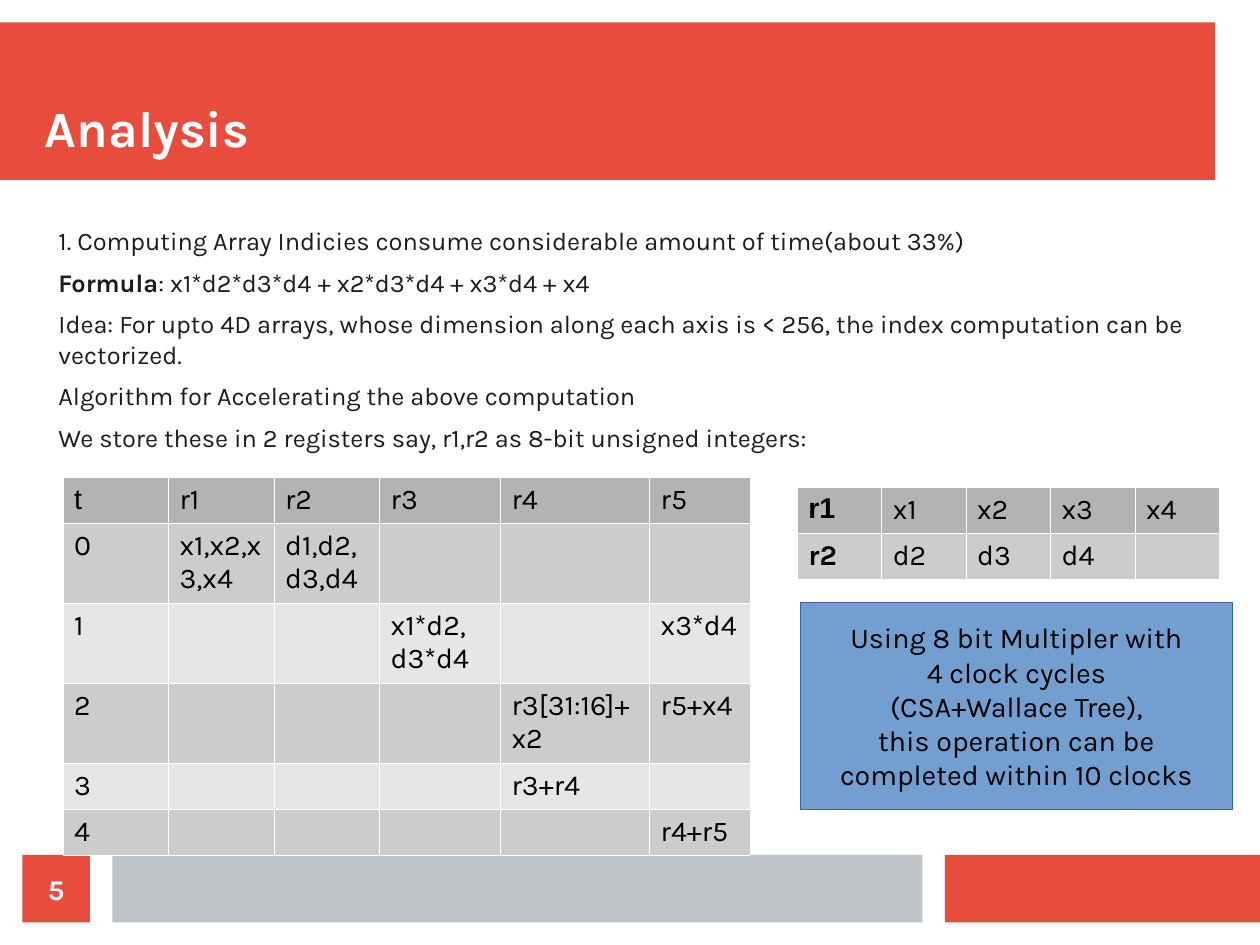
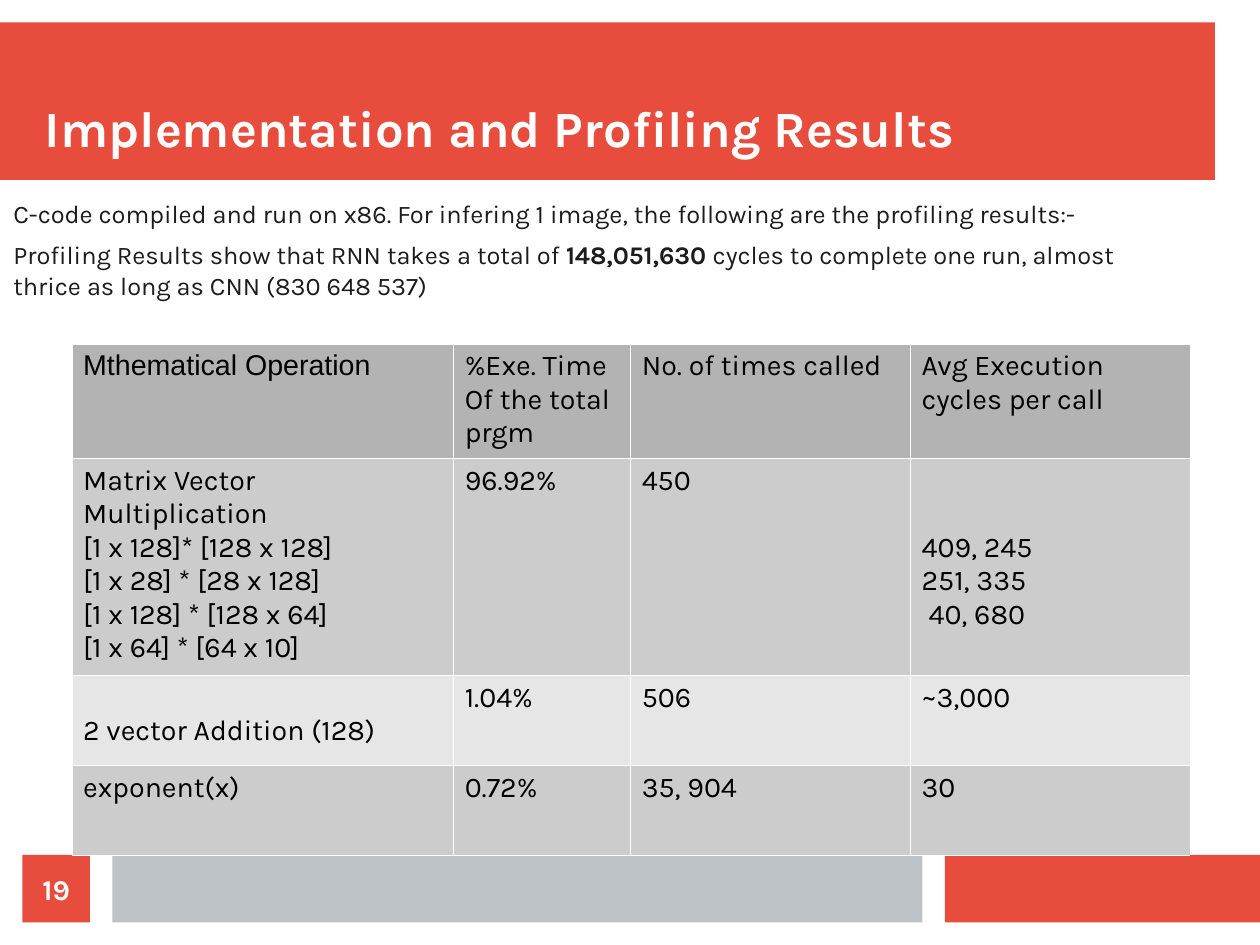
from lxml import etree
from pptx import Presentation
from pptx.dml.color import RGBColor
from pptx.enum import shapes, text
from pptx.oxml.ns import qn
from pptx.util import Pt

RED = RGBColor(0xE7, 0x4C, 0x3C)
GREY = RGBColor(0xBD, 0xC3, 0xC7)
WHITE = RGBColor(0xFF, 0xFF, 0xFF)
BLACK = RGBColor(0, 0, 0)
INK = RGBColor(0x1C, 0x1C, 0x1C)
BLUE = RGBColor(0x72, 0x9F, 0xCF)
NAVY = RGBColor(0x34, 0x65, 0xA4)
HEAD = RGBColor(0xB3, 0xB3, 0xB3)
DARK = RGBColor(0xCC, 0xCC, 0xCC)
LIGHT = RGBColor(0xE6, 0xE6, 0xE6)

TITLE = {"size": Pt(32), "name": "Karla", "color": WHITE}
BODY = {"size": Pt(16), "name": "Karla", "color": INK}
CELL = {"size": Pt(18), "name": "Karla", "color": BLACK}
BADGE = CELL | {"color": WHITE}
LINE = 21.1
LEFT, MID = text.PP_ALIGN.LEFT, text.PP_ALIGN.CENTER


def write(frame, words, style, align=LEFT, after=0):
    for num, line in enumerate(words.split("\n")):
        para = frame.add_paragraph() if num else frame.paragraphs[0]
        para.alignment = align
        para.space_after = Pt(after)
        for odd, part in enumerate(line.split("|")):
            if not part:
                continue
            run = para.add_run()
            run.text = part
            run.font.bold = odd % 2 == 1
            for key, val in style.items():
                if key == "color":
                    run.font.color.rgb = val
                else:
                    setattr(run.font, key, val)


def grid(slide, left, top, wides, highs, rows, drops={}):
    size = [Pt(n) for n in (left, top, sum(wides), sum(highs))]
    table = slide.shapes.add_table(len(highs), len(wides), *size).table
    table.first_row = table.horz_banding = False
    for col, wide in zip(table.columns, wides):
        col.width = Pt(wide)
    for r, high in enumerate(highs):
        table.rows[r].height = Pt(high)
        for c, words in enumerate(rows[r]):
            cell = table.cell(r, c)
            props = cell._tc.get_or_add_tcPr()
            for side in ("a:lnL", "a:lnR", "a:lnT", "a:lnB"):
                edge = etree.SubElement(props, qn(side), w="762")
                fill = etree.SubElement(edge, qn("a:solidFill"))
                etree.SubElement(fill, qn("a:srgbClr"), val=str(WHITE))
            cell.fill.solid()
            cell.fill.fore_color.rgb = HEAD if r == 0 else DARK if r % 2 else LIGHT
            cell.margin_top = Pt(3.6 + LINE * drops.get((r, c), 0))
            font = "Arial" if r == c == 0 else "Karla"
            write(cell.text_frame, words, CELL | {"name": font})
    return table


deck = Presentation()
deck.slide_width, deck.slide_height = Pt(793.7), Pt(595.3)

pages = [
    ("Analysis", "5", (36.85, 142, 723, 156),
     "1. Computing Array Indicies consume considerable amount of time(about 33%)\n"
     "|Formula|: x1*d2*d3*d4 + x2*d3*d4 + x3*d4 + x4\n"
     "Idea: For upto 4D arrays, whose dimension along each axis is < 256, "
     "the index computation can be vectorized.\n"
     "Algorithm for Accelerating the above computation\n"
     "We store these in 2 registers say, r1,r2 as 8-bit unsigned integers:"),
    ("Implementation and Profiling Results", "19", (8.5, 124.7, 723, 80),
     "C-code compiled and run on x86. For infering 1 image, "
     "the following are the profiling results:-\n"
     "Profiling Results show that RNN takes a total of |148,051,630 |"
     "cycles to complete one run, almost thrice as long as CNN (830 648 537)"),
]
note = ("Using 8 bit Multipler with\n4 clock cycles\n(CSA+Wallace Tree),\n"
        "this operation can be\ncompleted within 10 clocks")

slides = []
for title, num, place, body in pages:
    slide = deck.slides.add_slide(deck.slide_layouts[6])
    slides.append(slide)
    rects = [
        ((0, 14.17, 765.35, 99.21), RED, "", CELL),
        ((595.28, 538.58, 198.43, 42.52), RED, "", CELL),
        ((70.87, 538.58, 510.24, 42.52), GREY, "", CELL),
        ((14.17, 538.58, 42.52, 42.52), RED, f"|{num}|", BADGE),
    ]
    if not slides[1:]:
        rects.append(((504, 379.5, 272.5, 130.4), BLUE, note, CELL))
    for spot, fill, words, style in rects:
        rect = slide.shapes.add_shape(shapes.MSO_SHAPE.RECTANGLE, *map(Pt, spot))
        rect.shadow.inherit = False
        rect.fill.solid()
        rect.fill.fore_color.rgb = fill
        if fill == BLUE:
            rect.line.color.rgb = NAVY
            rect.line.width = Pt(0)
        else:
            rect.line.fill.background()
        if words:
            frame = rect.text_frame
            frame.word_wrap = False
            frame.vertical_anchor = text.MSO_ANCHOR.MIDDLE
            write(frame, words, style, MID)
    texts = [
        ((28.35, 28.35, 737, 70.87), f"|{title}|", TITLE, text.MSO_ANCHOR.BOTTOM, 0),
        (place, body, BODY, text.MSO_ANCHOR.TOP, 7),
    ]
    for spot, words, style, anchor, after in texts:
        frame = slide.shapes.add_textbox(*map(Pt, spot)).text_frame
        form = {"word_wrap": True, "vertical_anchor": anchor, "margin_left": 0,
                "margin_right": 0, "margin_top": 0, "margin_bottom": 0}
        for key, val in form.items():
            setattr(frame, key, val)
        write(frame, words, style, LEFT, after)

first, second = slides
grid(first, 502, 307, [53.2] * 5, [28.3] * 2, [
    ["|r1|", "x1", "x2", "x3", "x4"],
    ["|r2|", "d2", "d3", "d4", ""],
])
grid(first, 39.5, 300.8, [66.5, 66.5, 66.5, 76.2, 93.9, 63.4],
     [28.3, 49.5, 49.5, 49.5, 28.3, 28.3], [
    ["t", "r1", "r2", "r3", "r4", "r5"],
    ["0", "x1,x2,x3,x4", "d1,d2,d3,d4", "", "", ""],
    ["1", "", "", "x1*d2,\nd3*d4", "", "x3*d4"],
    ["2", "", "", "", "r3[31:16]+x2", "r5+x4"],
    ["3", "", "", "", "r3+r4", ""],
    ["4", "", "", "", "", "r4+r5"],
])
table = grid(second, 45.2, 216.6, [240.4, 111.5, 176.3, 176.3], [70.3, 134.1, 56.7, 56.7], [
    ["Mthematical Operation", "%Exe. Time\nOf the total prgm",
     "No. of times called", "Avg Execution cycles per call"],
    ["Matrix Vector Multiplication\n[1 x 128]* [128 x 128]\n[1 x 28] * [28 x 128]\n"
     "[1 x 128] * [128 x 64]\n[1 x 64] * [64 x 10]",
     "96.92%", "450", "409, 245\n251, 335\n40, 680"],
    ["2 vector Addition (128)", "1.04%", "506", "~3,000"],
    ["exponent(x)", "0.72%", "35, 904", "30"],
], {(1, 3): 2, (2, 0): 1})
last = table.cell(1, 3).text_frame.paragraphs[2]
last._p.get_or_add_pPr().set("marL", str(Pt(4.4)))

deck.save("out.pptx")
